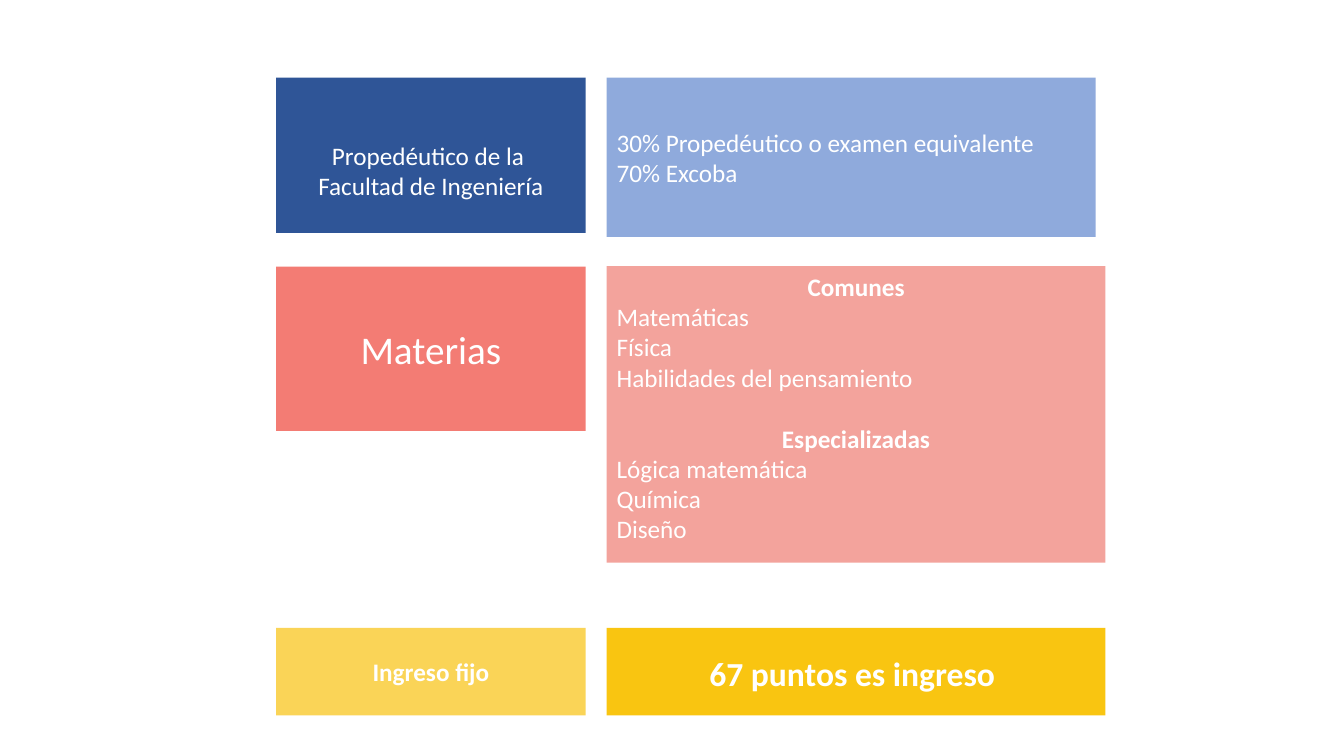
"""Builds the slide on admission to the engineering faculty."""
from pptx import Presentation
from pptx.dml.color import RGBColor
from pptx.enum.shapes import MSO_SHAPE
from pptx.enum.text import MSO_ANCHOR, PP_ALIGN
from pptx.util import Cm, Pt

RECTANGLE = MSO_SHAPE.RECTANGLE
TOP, MIDDLE = MSO_ANCHOR.TOP, MSO_ANCHOR.MIDDLE
LEFT, CENTER = PP_ALIGN.LEFT, PP_ALIGN.CENTER
LABEL_X, LABEL_W = 6.96, 7.8
DETAIL_X, DETAIL_W = 15.29, 12.57


def color(value):
    return RGBColor.from_string(value)


def write(frame, text, size, bold=False, align=CENTER, anchor=MIDDLE):
    frame.text = text
    frame.word_wrap = True
    frame.vertical_anchor = anchor
    for line in frame.paragraphs:
        line.alignment = align
        line.font.name = "Calibri"
        line.font.size = Pt(size)
        line.font.bold = bold
        line.font.color.rgb = color("FFFFFF")


prs = Presentation()
prs.slide_width, prs.slide_height = Cm(33.87), Cm(19.05)
slide = prs.slides.add_slide(prs.slide_layouts[6])

subjects = (
    "Comunes\nMatemáticas\nFísica\nHabilidades del pensamiento\n"
    "Especializadas\nLógica matemática\nQuímica\nDiseño"
)
weights = "30% Propedéutico o examen equivalente\n70% Excoba"
course = "Propedéutico de la \nFacultad de Ingeniería"

blocks = [
    (DETAIL_X, 6.71, DETAIL_W, 7.47, "F3A39C", subjects, 18, False, LEFT, TOP),
    (LABEL_X, 6.72, LABEL_W, 4.14, "F37C74", "Materias", 28, False, CENTER, MIDDLE),
    (LABEL_X, 15.82, LABEL_W, 2.21, "FAD457", "Ingreso fijo", 18, True, CENTER, MIDDLE),
    (DETAIL_X, 15.82, DETAIL_W, 2.21, "F9C511", "", 24, True, CENTER, MIDDLE),
    (DETAIL_X, 1.96, 12.32, 4.01, "8FAADC", weights, 18, False, LEFT, MIDDLE),
    (LABEL_X, 1.96, LABEL_W, 3.91, "2F5597", course, 18, False, CENTER, MIDDLE),
]
frames = {}
for x, y, width, height, fill, text, size, bold, align, anchor in blocks:
    block = slide.shapes.add_shape(RECTANGLE, Cm(x), Cm(y), Cm(width), Cm(height))
    block.shadow.inherit = False
    block.fill.solid()
    block.fill.fore_color.rgb = color(fill)
    block.line.fill.background()
    write(block.text_frame, text, size, bold, align, anchor)
    frames[text] = block.text_frame

for line in frames[subjects].paragraphs:
    if line.text in ("Comunes", "Especializadas"):
        line.alignment = CENTER
        line.font.bold = True
    if line.text == "Especializadas":
        line.space_before = Pt(22)

frames[course].margin_top = Cm(0.9)

score = slide.shapes.add_textbox(Cm(17.27), Cm(16.38), Cm(8.61), Cm(1.17))
write(score.text_frame, "67 puntos es ingreso ", 24, True)

prs.save("out.pptx")
